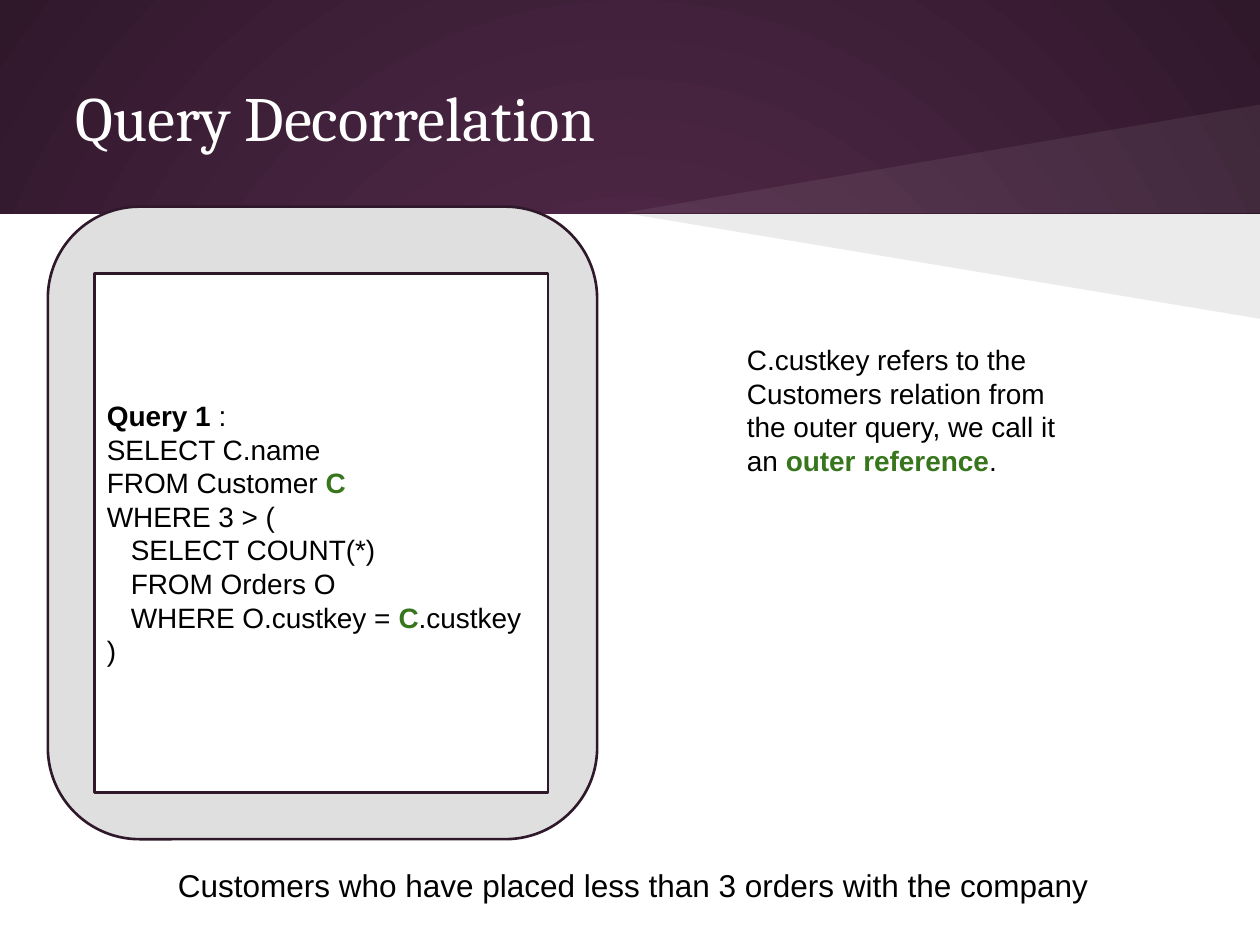
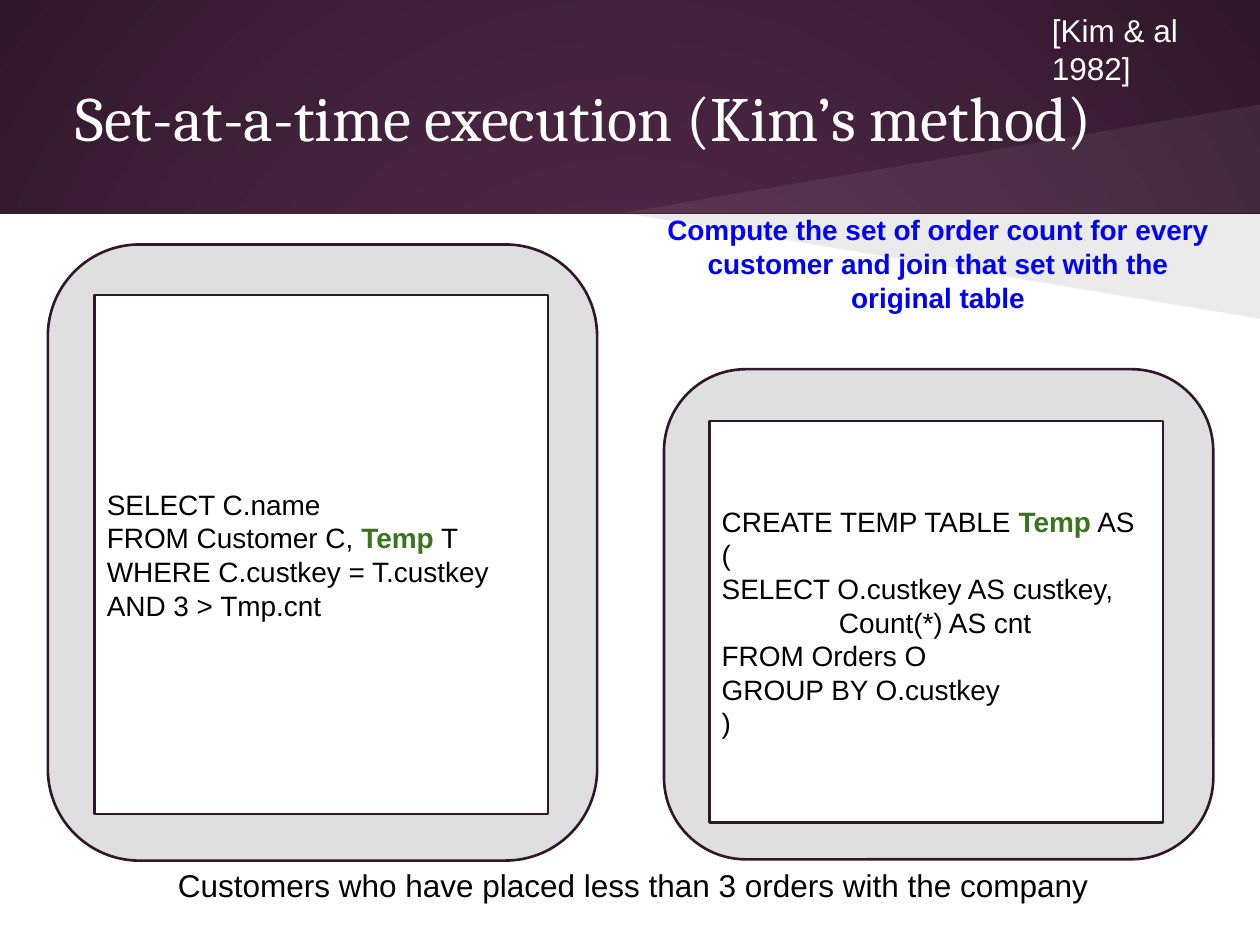
from lxml import etree
from pptx import Presentation
from pptx.dml.color import RGBColor
from pptx.enum.shapes import MSO_SHAPE as Preset
from pptx.enum.text import MSO_ANCHOR as Anchor, MSO_AUTO_SIZE as AutoSize, PP_ALIGN as Align
from pptx.oxml.ns import qn
from pptx.util import Inches, Pt

COLORS = {
    "glow": "592D50",
    "dark": "30182B",
    "panel": "DFDFDF",
    "white": "FFFFFF",
    "black": "000000",
    "highlight": "38761D",
    "note": "0000FF",
}
CAPTION = "Customers who have placed less than 3 orders with the company"
OUTER_QUERY = [
    (["*Query 1", " :"], 0),
    (["SELECT C.name"], 0),
    (["FROM Customer ", "#C"], 0),
    (["WHERE 3 > ("], 0),
    (["SELECT COUNT(*)"], 0.19),
    (["FROM Orders O"], 0.19),
    (["WHERE O.custkey = ", "#C", ".custkey"], 0.19),
    ([")"], 0),
]
JOIN_QUERY = [
    (["SELECT C.name"], 0),
    (["FROM Customer C, ", "#Temp", " T"], 0),
    (["WHERE C.custkey = T.custkey"], 0),
    (["AND 3 > Tmp.cnt"], 0),
]
TEMP_QUERY = [
    (["CREATE TEMP TABLE ", "#Temp", " AS ("], 0),
    (["SELECT O.custkey AS custkey,"], 0),
    (["Count(*) AS cnt"], 0.93),
    (["FROM Orders O"], 0),
    (["GROUP BY O.custkey"], 0),
    ([")"], 0),
]
REFERENCE_NOTE = [
    (["C.custkey refers to the Customers relation from the outer query, we call it an ",
      "#outer reference", "."], 0),
]
JOIN_NOTE = [
    (["*Compute the set of order count for every customer and join that set "
      "with the original table"], 0),
]


def rgb(name):
    return RGBColor.from_string(COLORS[name])


def paint(shape, fill, line=None, alpha=None):
    shape.shadow.inherit = False
    shape.fill.solid()
    shape.fill.fore_color.rgb = rgb(fill)
    if line:
        shape.line.color.rgb = rgb(line)
        shape.line.width = Pt(1.5)
    else:
        shape.line.fill.background()
    if alpha:
        color = shape.element.spPr.find(qn("a:solidFill"))[0]
        etree.SubElement(color, qn("a:alpha")).set("val", str(alpha * 1000))


def format_run(run, size, color, font="Arial", bold=False):
    run.font.name = font
    run.font.size = Pt(size)
    run.font.bold = bold
    run.font.color.rgb = rgb(color)


def set_insets(text_frame, right=0.1):
    text_frame.word_wrap = True
    text_frame.margin_left = text_frame.margin_top = text_frame.margin_bottom = Inches(0.1)
    text_frame.margin_right = Inches(right)


def write_lines(text_frame, lines, size=16, color="black", align=Align.LEFT):
    for index, (parts, indent) in enumerate(lines):
        paragraph = text_frame.paragraphs[0] if index == 0 else text_frame.add_paragraph()
        paragraph.alignment = align
        if indent:
            properties = paragraph._p.get_or_add_pPr()
            properties.set("marL", str(Inches(indent)))
            properties.set("indent", "0")
        for part in parts:
            run = paragraph.add_run()
            run.text = part.lstrip("*#")
            run_color = "highlight" if part.startswith("#") else color
            format_run(run, size, run_color, bold=part[0] in "*#")


def add_text(slide, box, lines, **style):
    shape = slide.shapes.add_textbox(*map(Inches, box))
    set_insets(shape.text_frame)
    write_lines(shape.text_frame, lines, **style)


def add_code_panel(slide, frame, page, lines):
    panel = slide.shapes.add_shape(Preset.ROUNDED_RECTANGLE, *map(Inches, frame))
    panel.adjustments[0] = 0.167
    paint(panel, "panel", "dark")
    code = slide.shapes.add_shape(Preset.RECTANGLE, *map(Inches, page))
    paint(code, "white", "dark")
    set_insets(code.text_frame, right=0.12)
    code.text_frame.vertical_anchor = Anchor.MIDDLE
    write_lines(code.text_frame, lines)


def add_wedge(slide, edge, color, alpha):
    builder = slide.shapes.build_freeform(Inches(10), Inches(1.69))
    builder.add_line_segments([(Inches(4.95), Inches(1.69)), (Inches(10), Inches(edge))])
    wedge = builder.convert_to_shape()
    paint(wedge, color, alpha=alpha)
    return wedge


def style_background(master):
    fill = master.background.fill
    fill.gradient()
    for stop, color in zip(fill.gradient_stops, ("glow", "dark")):
        stop.color.rgb = rgb(color)
    gradient = master.element.find(".//" + qn("a:gradFill"))
    gradient.remove(gradient.find(qn("a:lin")))
    circle = etree.SubElement(gradient, qn("a:path"), {"path": "circle"})
    sides = dict.fromkeys("ltrb", "50000")
    etree.SubElement(circle, qn("a:fillToRect"), sides)


def move_band_to_layout(slide, layout):
    page = slide.shapes.add_shape(Preset.RECTANGLE, 0, Inches(1.7), Inches(10), Inches(5.8))
    paint(page, "white")
    band = [page, add_wedge(slide, 0.83, "white", 7), add_wedge(slide, 2.53, "black", 8)]
    for position, shape in enumerate(band, start=2):
        layout.element.cSld.spTree.insert(position, shape.element)


def add_slide(presentation, layout, title, title_width):
    slide = presentation.slides.add_slide(layout)
    shape = slide.shapes.title
    shape.left, shape.top = Inches(0.5), Inches(0.3)
    shape.width, shape.height = Inches(title_width), Inches(1.25)
    text_frame = shape.text_frame
    text_frame.text = title
    text_frame.auto_size = AutoSize.NONE
    text_frame.vertical_anchor = Anchor.MIDDLE
    set_insets(text_frame)
    paragraph = text_frame.paragraphs[0]
    paragraph.alignment = Align.LEFT
    format_run(paragraph.runs[0], 36, "white", font="Cambria")
    return slide


def add_caption(slide):
    add_text(slide, (0.25, 6.77, 9.55, 0.63), [([CAPTION], 0)], size=18, align=Align.CENTER)


def main():
    presentation = Presentation()
    presentation.slide_width, presentation.slide_height = Inches(10), Inches(7.5)
    layout = presentation.slide_layouts[5]
    style_background(presentation.slide_master)

    slide = add_slide(presentation, layout, "Query Decorrelation", 7.11)
    move_band_to_layout(slide, layout)
    add_code_panel(slide, (0.38, 1.64, 4.36, 5.02), (0.75, 2.17, 3.6, 4.12), OUTER_QUERY)
    add_caption(slide)
    add_text(slide, (5.83, 2.62, 2.88, 2.12), REFERENCE_NOTE)

    slide = add_slide(presentation, layout, "Set-at-a-time execution (Kim’s method)", 9.3)
    add_code_panel(slide, (0.38, 1.94, 4.36, 4.89), (0.75, 2.34, 3.6, 4.12), JOIN_QUERY)
    add_caption(slide)
    add_text(slide, (5.17, 1.59, 4.55, 1.25), JOIN_NOTE, color="note", align=Align.CENTER)
    add_code_panel(slide, (5.27, 2.93, 4.36, 3.89), (5.63, 3.34, 3.6, 3.19), TEMP_QUERY)
    add_text(slide, (8.25, -0.01, 1.71, 0.6), [(["[Kim & al 1982]"], 0)], size=18, color="white")

    presentation.save("out.pptx")


main()
